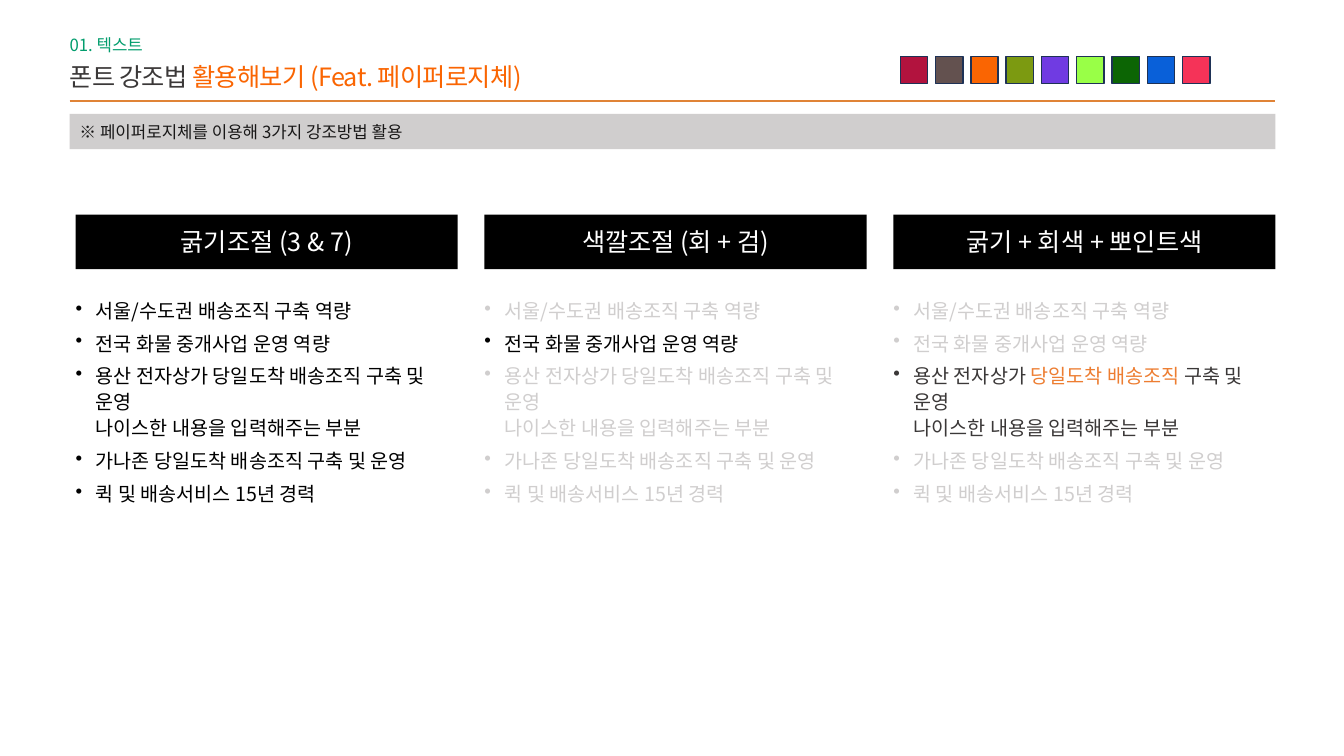
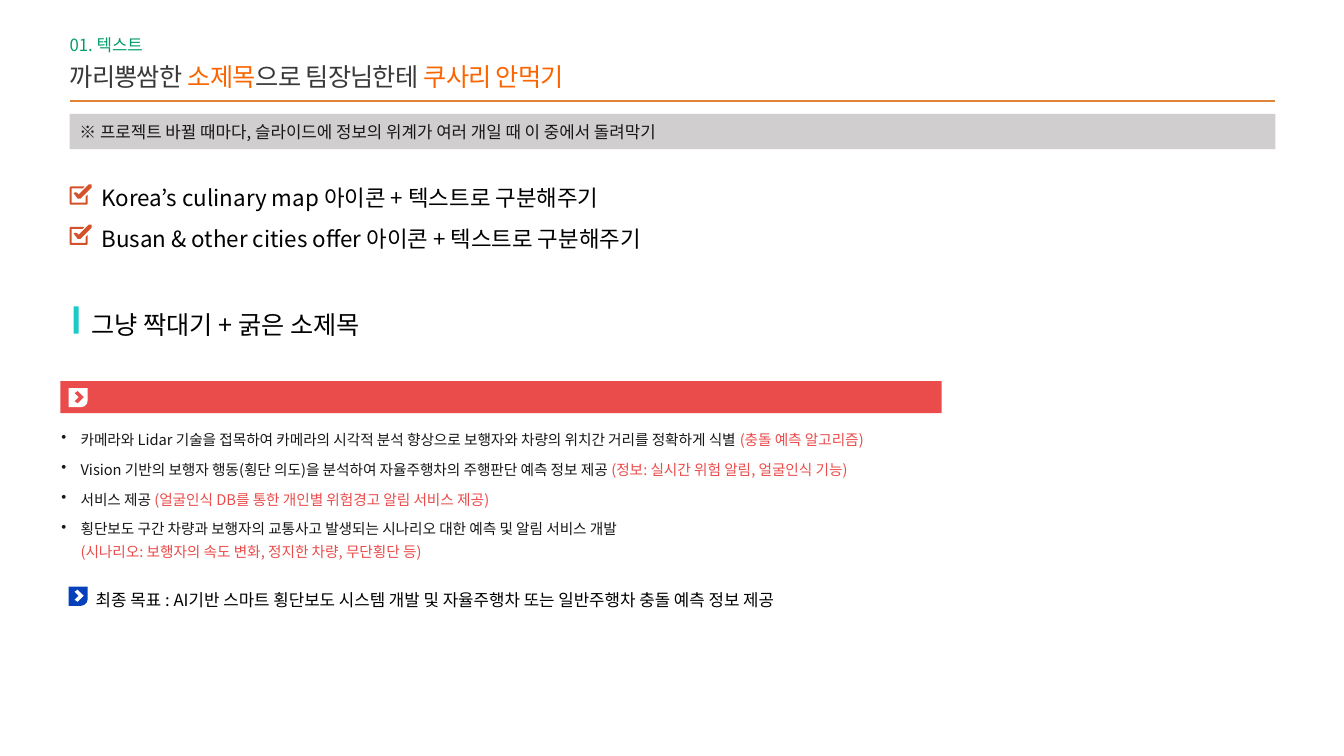
"""Build two slides that show ways of emphasising text and styling subheadings."""
from copy import deepcopy

from lxml.etree import SubElement
from pptx import Presentation
from pptx.dml.color import RGBColor
from pptx.enum.shapes import MSO_CONNECTOR, MSO_SHAPE
from pptx.enum.text import MSO_ANCHOR, MSO_AUTO_SIZE, PP_ALIGN
from pptx.oxml.ns import qn
from pptx.util import Inches, Pt

FONT = "Noto Sans CJK KR"
COLORS = {
    "black": "000000", "white": "FFFFFF", "ink": "3B3838", "note": "181717",
    "gray": "D0CECE", "green": "029D6D", "orange": "FA6502", "accent": "ED7D31",
    "rule": "E08336", "check": "D35229", "teal": "1BCAC6", "red": "EA4C4B",
    "blue": "0740BB", "outline": "1E3256", "crimson": "B2133E", "brown": "63514F",
    "olive": "7C9A11", "violet": "703BE2", "lime": "99FF47", "forest": "0C6504",
    "azure": "0960D9", "rose": "F53358",
}
SWATCHES = ["crimson", "brown", "orange", "olive", "violet", "lime", "forest", "azure", "rose"]
LEFT, WIDTH = 0.69, 11.96
FLUSH = (0, 0.05, 0.1, 0.05)
PADDED = (0.1, 0.05, 0.1, 0.05)
NONE = (0, 0, 0, 0)
TICK = [(9, 10), (7, 8), (5, 8), (4, 9), (5, 10), (8, 14), (11, 14), (22, 3),
        (22, 2), (22, 0), (19, 0)]
FRAME = [(0, 19), (0, 3), (1, 2), (15, 2), (13, 4), (2, 4), (2, 18), (16, 18),
         (16, 12), (18, 10), (18, 19), (17, 20), (1, 20)]
CHEVRON = [(3, 12), (0, 10), (4, 6), (0, 2), (3, 0), (9, 6)]

SERVICES = [
    ("서울/수도권 배송조직 구축 역량",),
    ("전국 화물 중개사업 운영 역량",),
    ("용산 전자상가 ", "당일도착 배송조직 ", "구축 및 운영\n나이스한 내용을 입력해주는 부분"),
    ("가나존 당일도착 배송조직 구축 및 운영",),
    ("퀵 및 배송서비스 15년 경력",),
]
COLUMNS = [
    ("굵기조절 (3 & 7)", "black", {}),
    ("색깔조절 (회 + 검)", "gray", {1: ["black"]}),
    ("굵기 + 회색 + 뽀인트색", "gray", {2: ["ink", "accent", "ink"]}),
]
CHECKS = [
    "Korea’s culinary map 아이콘 + 텍스트로 구분해주기",
    "Busan & other cities offer 아이콘 + 텍스트로 구분해주기",
]
FEATURES = [
    ("카메라와 Lidar 기술을 접목하여 카메라의 시각적 분석 향상으로 보행자와 차량의 위치간 거리를 정확하게 식별 ",
     "(충돌 예측 알고리즘)"),
    ("Vision 기반의 보행자 행동(횡단 의도)을 분석하여 자율주행차의 주행판단 예측 정보 제공 ",
     "(정보: 실시간 위험 알림, 얼굴인식 기능)"),
    ("서비스 제공 ", "(얼굴인식 DB를 통한 개인별 위험경고 알림 서비스 제공)"),
    ("횡단보도 구간 차량과 보행자의 교통사고 발생되는 시나리오 대한 예측 및 알림 서비스 개발\n",
     "(시나리오: 보행자의 속도 변화, 정지한 차량, 무단횡단 등)"),
]
GOAL = "최종 목표 : AI기반 스마트 횡단보도 시스템 개발 및 자율주행차 또는 일반주행차 충돌 예측 정보 제공"


def apply(target, values):
    """Set every named attribute of the target."""
    for name, value in values.items():
        setattr(target, name, value)


def color(name):
    """Return the palette colour with this name."""
    return RGBColor.from_string(COLORS[name])


def add_span(paragraph, text, tint, size, tracking):
    """Add coloured text to a paragraph, with a line break at each newline."""
    for index, line in enumerate(text.split("\n")):
        if index:
            paragraph.add_line_break()
            paragraph._p[-1].append(deepcopy(properties))
        span = paragraph.add_run()
        span.text = line
        apply(span.font, {"name": FONT, "size": Pt(size)})
        span.font.color.rgb = color(tint)
        properties = span._r.get_or_add_rPr()
        SubElement(properties, qn("a:ea")).set("typeface", FONT)
        if tracking:
            properties.set("spc", str(int(tracking * 100)))


def add_bullet(paragraph, indent):
    """Give a paragraph a hanging round bullet."""
    properties = paragraph._p.get_or_add_pPr()
    properties.set("marL", str(Inches(indent)))
    properties.set("indent", str(-Inches(indent)))
    SubElement(properties, qn("a:buChar")).set("char", "•")


def write(frame, paragraphs, size, tracking=0, indent=0, **formats):
    """Fill a text frame with paragraphs, each a list of (text, colour) pairs."""
    for index, spans in enumerate(paragraphs):
        paragraph = frame.add_paragraph() if index else frame.paragraphs[0]
        if indent:
            add_bullet(paragraph, indent)
        apply(paragraph, {"alignment": PP_ALIGN.LEFT, **formats})
        if index:
            paragraph.space_before = Pt(5)
        for text, tint in spans:
            add_span(paragraph, text, tint, size, tracking)


def add_text(page, place, paragraphs, size, insets=FLUSH, wrap=True, **formats):
    """Add a text box that grows with its text."""
    frame = page.shapes.add_textbox(*map(Inches, place)).text_frame
    sides = ("margin_left", "margin_top", "margin_right", "margin_bottom")
    apply(frame, dict(zip(sides, map(Inches, insets))))
    apply(frame, {"word_wrap": wrap, "auto_size": MSO_AUTO_SIZE.SHAPE_TO_FIT_TEXT})
    write(frame, paragraphs, size, **formats)


def paint(shape, fill, outline=None):
    """Give a shape a flat fill and an optional outline."""
    shape.shadow.inherit = False
    shape.fill.solid()
    shape.fill.fore_color.rgb = color(fill)
    if outline:
        shape.line.color.rgb = color(outline)
        shape.line.width = Pt(1)
    else:
        shape.line.fill.background()


def add_block(page, place, fill, outline=None, kind=MSO_SHAPE.RECTANGLE):
    """Add a filled preset shape."""
    block = page.shapes.add_shape(kind, *map(Inches, place))
    paint(block, fill, outline)
    return block


def add_banner(page, place, fill, text, tint, size, alignment=PP_ALIGN.LEFT):
    """Add a filled rectangle with one vertically centred line of text."""
    frame = add_block(page, place, fill).text_frame
    apply(frame, {"word_wrap": True, "vertical_anchor": MSO_ANCHOR.MIDDLE})
    write(frame, [[(text, tint)]], size, alignment=alignment)


def add_outline(page, left, top, points, fill):
    """Add a filled polygon drawn in hundredths of an inch."""
    builder = page.shapes.build_freeform(*points[0], scale=Inches(0.01))
    builder.add_line_segments(points[1:], close=True)
    paint(builder.convert_to_shape(Inches(left), Inches(top)), fill)


def add_arrow_badge(page, top, fill, arrow):
    """Add a square badge with one round corner and a chevron."""
    badge = add_block(page, (0.68, top, 0.19, 0.19), fill, kind=MSO_SHAPE.ROUND_1_RECTANGLE)
    badge.adjustments[0] = 0.36
    badge.rotation = 90
    add_outline(page, 0.74, top + 0.03, CHEVRON, arrow)


def add_page(deck, title, note):
    """Add a slide with the shared section label, title, rule and note band."""
    page = deck.slides.add_slide(deck.slide_layouts[6])
    ends = (LEFT, 1, LEFT + WIDTH, 1)
    rule = page.shapes.add_connector(MSO_CONNECTOR.STRAIGHT, *map(Inches, ends))
    rule.line.color.rgb = color("rule")
    rule.line.width = Pt(1.5)
    SubElement(rule._element.spPr, qn("a:effectLst"))
    add_banner(page, (LEFT, 1.13, WIDTH, 0.35), "gray", note, "note", 12)
    add_text(page, (LEFT, 0.3, 0.87, 0.3), [[("01. 텍스트", "green")]], 12, wrap=False)
    add_text(page, (LEFT, 0.56, 6.26, 0.4), [title], 18, tracking=-0.5)
    return page


def add_emphasis_page(deck):
    """Add the slide that compares three ways of emphasising a list."""
    title = [("폰트 강조법 ", "ink"), ("활용해보기 (Feat. 페이퍼로지체)", "orange")]
    page = add_page(deck, title, "※ 페이퍼로지체를 이용해 3가지 강조방법 활용")
    first, width = 0.75, 3.79
    pitch = (LEFT + WIDTH - first - width) / (len(COLUMNS) - 1)
    for index, (heading, base, emphasis) in enumerate(COLUMNS):
        left = first + index * pitch
        paragraphs = [
            list(zip(parts, emphasis.get(row, [base] * len(parts))))
            for row, parts in enumerate(SERVICES)
        ]
        add_text(page, (left, 2.89, 3.86, 1.91), paragraphs, 14, indent=0.2, line_spacing=1.1)
        add_banner(page, (left, 2.13, width, 0.54), "black", heading, "white", 18,
                   PP_ALIGN.CENTER)
    for index, swatch in enumerate(SWATCHES):
        add_block(page, (8.93 + index * 0.35, 0.56, 0.27, 0.27), swatch, "outline")


def add_subheading_page(deck):
    """Add the slide that collects subheading styles."""
    title = [("까리뽕쌈한 ", "ink"), ("소제목", "orange"),
             ("으로 팀장님한테 ", "ink"), ("쿠사리 안먹기", "orange")]
    page = add_page(
        deck, title, "※ 프로젝트 바뀔 때마다, 슬라이드에 정보의 위계가 여러 개일 때 이 중에서 돌려막기")
    for index, text in enumerate(CHECKS):
        top = 1.83 + index * 0.4
        for points in (TICK, FRAME):
            add_outline(page, LEFT, top, points, "check")
        add_text(page, (0.91, 1.74 + index * 0.41, 6.67, 0.38), [[(text, "black")]], 16,
                 PADDED, line_spacing=1.14)
    add_text(page, (0.81, 2.87, 4.13, 0.49), [[("그냥 짝대기 + 굵은 소제목", "black")]], 18,
             PADDED, line_spacing=1.5)
    add_block(page, (0.73, 3.04, 0.05, 0.27), "teal")
    add_block(page, (0.6, 3.78, 8.74, 0.32), "red")
    add_arrow_badge(page, 3.85, "white", "red")
    paragraphs = [list(zip(parts, ("note", "red"))) for parts in FEATURES]
    add_text(page, (0.61, 4.17, 8.73, 1.45), paragraphs, 10.5, indent=0.19, line_spacing=1.3)
    add_arrow_badge(page, 5.82, "blue", "white")
    add_text(page, (0.95, 5.76, 8.17, 0.27), [[(GOAL, "black")]], 12, NONE,
             line_spacing=Pt(21.3))


def main():
    """Build and save the deck."""
    deck = Presentation()
    apply(deck, {"slide_width": Inches(13.33), "slide_height": Inches(7.5)})
    add_emphasis_page(deck)
    add_subheading_page(deck)
    deck.save("out.pptx")


if __name__ == "__main__":
    main()
